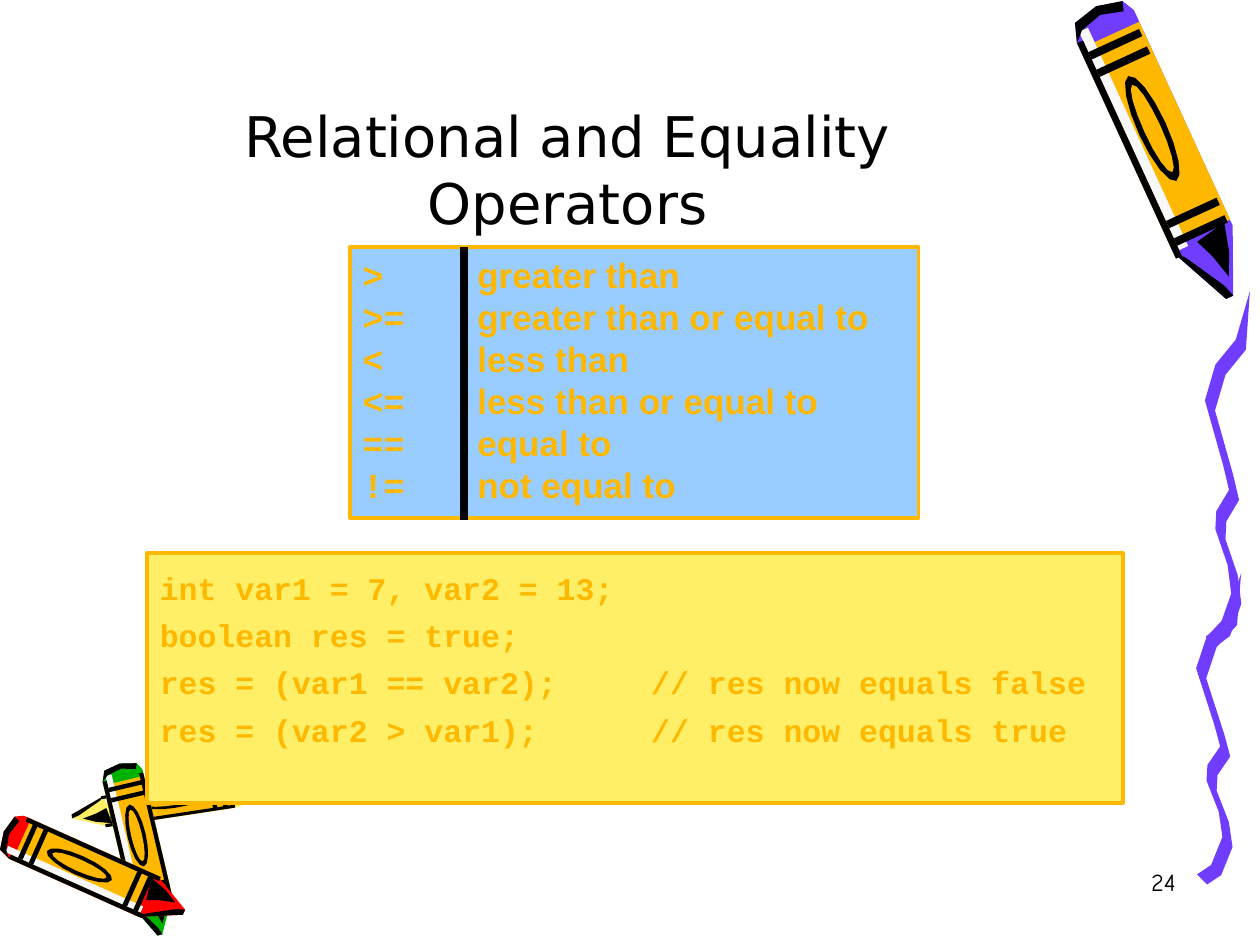
from math import cos, hypot, pi, sin

from lxml import etree
from pptx import Presentation
from pptx.dml.color import RGBColor
from pptx.enum.shapes import MSO_CONNECTOR, MSO_SHAPE
from pptx.enum.text import MSO_ANCHOR, PP_ALIGN
from pptx.oxml.ns import qn
from pptx.util import Inches, Pt

STRAIGHT = MSO_CONNECTOR.STRAIGHT
RECTANGLE = MSO_SHAPE.RECTANGLE
TOP, BOTTOM = MSO_ANCHOR.TOP, MSO_ANCHOR.BOTTOM
LEFT, CENTER, RIGHT = PP_ALIGN.LEFT, PP_ALIGN.CENTER, PP_ALIGN.RIGHT

BLACK = RGBColor(0x00, 0x00, 0x00)
OFF_WHITE = RGBColor(0xF8, 0xF8, 0xF8)
PURPLE = RGBColor(0x70, 0x3D, 0xFF)
ORANGE = RGBColor(0xFF, 0xB8, 0x00)
YELLOW = RGBColor(0xFF, 0xEF, 0x66)
RED = RGBColor(0xFF, 0x00, 0x00)
GREEN = RGBColor(0x00, 0xB2, 0x00)
BLUE = RGBColor(0x99, 0xCC, 0xFF)

presentation = Presentation()
presentation.slide_width, presentation.slide_height = Inches(10), Inches(7.5)
slide = presentation.slides.add_slide(presentation.slide_layouts[5])


def add_outline(points, color):
    """Draw a closed, filled outline through points given in inches."""
    corners = [(x * 1000, y * 1000) for x, y in points]
    builder = slide.shapes.build_freeform(*corners[0], scale=Inches(1) / 1000)
    builder.add_line_segments(corners[1:], close=True)
    outline = builder.convert_to_shape()
    outline.shadow.inherit = False
    outline.fill.solid()
    outline.fill.fore_color.rgb = color
    outline.line.fill.background()
    return outline


def write_text(shape, lines, font_name, size, color, bold=False, align=LEFT, anchor=TOP, spacing=None):
    frame = shape.text_frame
    frame.word_wrap = True
    frame.vertical_anchor = anchor
    for index, line in enumerate(lines):
        paragraph = frame.paragraphs[0] if index == 0 else frame.add_paragraph()
        paragraph.alignment = align
        paragraph.line_spacing = spacing
        run = paragraph.add_run()
        run.text = line
        run.font.name, run.font.size = font_name, Pt(size)
        run.font.bold = bold
        run.font.color.rgb = color


# One crayon pattern: each corner is (part of the length from the tail, part of the width from the axis)
body = [(0.02, -0.4), (0, 0), (0.02, 0.4), (0.08, 0.5), (0.8, 0.5),
        (1, 0.06), (1, -0.06), (0.8, -0.5), (0.06, -0.5)]
wrapper = [(0.1, 0.5), (0.78, 0.5), (0.78, -0.5), (0.1, -0.5)]
highlight = [(0.05, 0.4), (0.8, 0.4), (0.8, 0.25), (0.05, 0.25)]
tail_rim = [(0.08, 0.5), (0.02, 0.4), (0, 0), (0.02, -0.4), (0.05, -0.35), (0.03, 0), (0.05, 0.35)]
tip_edge = [(0.8, 0.5), (1, 0.06), (1, -0.06), (0.96, 0), (0.83, 0.36)]
tip_shade = [(0.8, 0.1), (0.78, -0.4), (0.87, -0.28), (0.94, -0.12), (0.86, -0.02)]
bands = [[(u, 0.4), (u, -0.45), (u + 0.025, -0.45), (u + 0.025, 0.4)] for u in (0.12, 0.18, 0.7, 0.76)]
turns = [2 * pi * step / 16 for step in range(16)]
ring_outer, ring_inner = [[(0.42 + length * cos(turn), breadth * sin(turn)) for turn in turns]
                          for length, breadth in ((0.18, 0.22), (0.15, 0.13))]

# Crayons, back to front: tail, tip, width, cap colour, sides with a black edge
crayons = [
    ((1.96, 6.27), (0.57, 6.48), 0.25, YELLOW, (1, -1)),
    ((0.95, 6.06), (1.27, 7.42), 0.33, GREEN, (1, -1)),
    ((0.03, 6.6), (1.46, 7.24), 0.36, RED, (1, -1)),
    ((8.7, 0.05), (9.76, 2.36), 0.52, PURPLE, (1,)),
]
for (tail_x, tail_y), (tip_x, tip_y), width, cap_color, edged_sides in crayons:
    edges = [[(0.08, side * 0.5), (0.82, side * 0.5), (0.82, side * 0.4), (0.08, side * 0.4)]
             for side in edged_sides]
    parts = [(body, cap_color), (wrapper, ORANGE), (highlight, OFF_WHITE)]
    parts += [(part, BLACK) for part in [*bands, *edges, tail_rim, tip_edge, tip_shade, ring_outer]]
    parts.append((ring_inner, ORANGE))
    along_x, along_y = tip_x - tail_x, tip_y - tail_y
    ratio = width / hypot(along_x, along_y)
    across_x, across_y = -along_y * ratio, along_x * ratio
    slide.shapes.add_group_shape([
        add_outline([(tail_x + u * along_x + v * across_x, tail_y + u * along_y + v * across_y)
                     for u, v in part], color)
        for part, color in parts])

# Squiggle: one swaying centre line (part of width, part of height), drawn as two ribbons
sway = [(1, 0), (0.8, 0.15), (0.35, 0.22), (0.12, 0.32), (0.52, 0.5), (0.65, 0.57),
        (0.37, 0.63), (0.35, 0.68), (0.62, 0.78), (0.7, 0.86), (0.45, 0.95), (0.14, 0.98)]
ribbons = [(9.49, 4.55, 0.36, 2.48), (9.56, 2.31, 0.36, 2.84)]
strands = []
for left, top, width, height in ribbons:
    center_line = [(left + x * width, top + y * height) for x, y in sway]
    start, *rest = center_line
    lower_side = [(x + 0.04, y + 0.04) for x, y in rest]
    upper_side = [(x - 0.04, y - 0.04) for x, y in reversed(rest)]
    strands.append(add_outline([start, *lower_side, *upper_side], PURPLE))
slide.shapes.add_group_shape(strands)

# Title
title = slide.shapes.title
title.left, title.top, title.width, title.height = Inches(0.75), Inches(0.17), Inches(7.51), Inches(1.75)
write_text(title, ["Relational and Equality Operators"], "DejaVu Sans", 32, BLACK,
           align=CENTER, anchor=BOTTOM, spacing=Pt(38.4))

# Operator meanings, operators and code example
meanings = ["greater than", "greater than or equal to", "less than",
            "less than or equal to", "equal to", "not equal to"]
operators = [">", ">=", "<", "<=", "==", "!="]
code = ["int var1 = 7, var2 = 13;",
        "boolean res = true;",
        "res = (var1 == var2);     // res now equals false",
        "res = (var2 > var1);      // res now equals true"]
boxes = [
    (3.69, 1.96, 3.6, 2.15, BLUE, meanings, "Arial", 20, 24),
    (2.78, 1.96, 0.91, 2.15, BLUE, operators, "Courier New", 20, 24),
    (1.17, 4.39, 7.74, 1.98, YELLOW, code, "Courier New", 18, 27),
]
for left, top, width, height, fill, lines, font_name, size, spacing in boxes:
    box = slide.shapes.add_shape(RECTANGLE, Inches(left), Inches(top), Inches(width), Inches(height))
    box.shadow.inherit = False
    box.fill.solid()
    box.fill.fore_color.rgb = fill
    box.line.color.rgb = ORANGE
    box.line.width = Pt(2.25)
    write_text(box, lines, font_name, size, ORANGE, bold=True, spacing=Pt(spacing))

# Divider between operators and meanings
divider = slide.shapes.add_connector(STRAIGHT, Inches(3.68), Inches(1.96), Inches(3.68), Inches(4.13))
divider.line.color.rgb = BLACK
divider.line.width = Pt(4.5)
etree.SubElement(divider._element.spPr, qn("a:effectLst"))

# Slide number
number = slide.shapes.add_textbox(Inches(7.35), Inches(6.83), Inches(2.08), Inches(0.5))
write_text(number, ["24"], "Comic Neue", 14, BLACK, align=RIGHT)

presentation.save("out.pptx")
